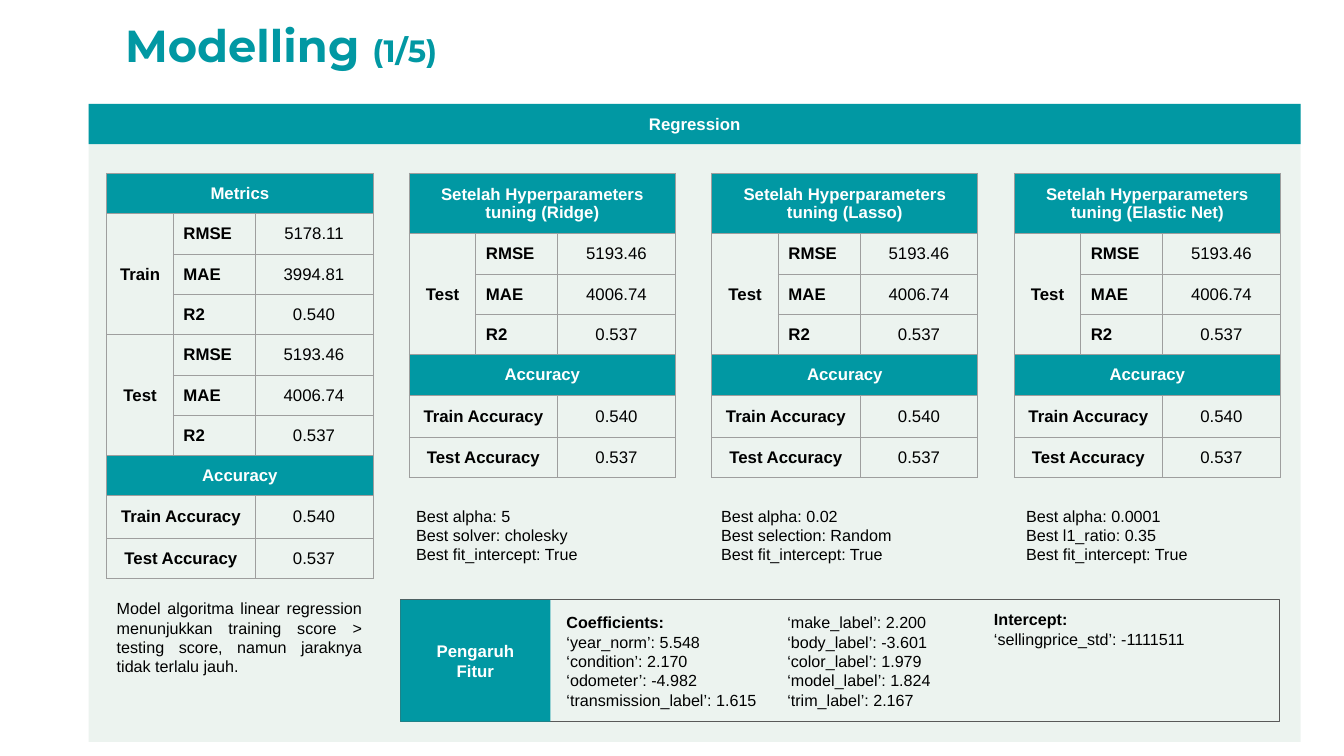
import dataclasses
import typing

import lxml.etree
import pptx
import pptx.dml.color
import pptx.enum.shapes
import pptx.enum.text
import pptx.oxml.ns
import pptx.util

Inches = pptx.util.Inches
Pt = pptx.util.Pt
Align = pptx.enum.text.PP_ALIGN
Anchor = pptx.enum.text.MSO_ANCHOR
qn = pptx.oxml.ns.qn

TEAL, WHITE, BLACK, GREY = "0198A3", "FFFFFF", "000000", "9E9E9E"
COLS = (0.66, 0.81, 1.17)
ROW = 0.4
TRAIN = ("5178.11", "3994.81", "0.540")
TEST = ("5193.46", "4006.74", "0.537")
ACCURACY = (("Train Accuracy", "0.540"), ("Test Accuracy", "0.537"))


@dataclasses.dataclass
class Panel:
    title: str
    groups: dict[str, tuple[str, ...]]
    top: float = 0.6


@dataclasses.dataclass
class Note:
    left: float
    top: float
    width: float
    height: float
    lines: list[str]
    head: str = ""
    align: Align = Align.LEFT


PANELS = [Panel("Metrics", {"Train": TRAIN, "Test": TEST}, ROW)] + [
    Panel(f"Setelah Hyperparameters tuning ({name})", {"Test": TEST})
    for name in ("Ridge", "Lasso", "Elastic Net")
]
BEST = (
    ("alpha: 5", "solver: cholesky"),
    ("alpha: 0.02", "selection: Random"),
    ("alpha: 0.0001", "l1_ratio: 0.35"),
)
NOTES = [
    Note(1.06, 5.84, 2.63, 0.98, [
        "Model algoritma linear regression menunjukkan training score > "
        "testing score, namun jaraknya tidak terlalu jauh."], align=Align.JUSTIFY),
    *(Note(4.03 + 3.025 * i, 4.92, 2.63, 0.78,
           [f"Best {item}" for item in (*best, "fit_intercept: True")],
           align=Align.JUSTIFY) for i, best in enumerate(BEST)),
    Note(5.52, 5.98, 3.05, 1.17, [
        "‘year_norm’: 5.548", "‘condition’: 2.170", "‘odometer’: -4.982",
        "‘transmission_label’: 1.615"], "Coefficients:"),
    Note(7.71, 5.98, 3.05, 1.17, [
        "‘make_label’: 2.200", "‘body_label’: -3.601", "‘color_label’: 1.979",
        "‘model_label’: 1.824", "‘trim_label’: 2.167"]),
    Note(9.76, 5.95, 2.11, 0.59, ["‘sellingprice_std’: -1111511"], "Intercept:"),
]


def rgb(code: str) -> pptx.dml.color.RGBColor:
    return pptx.dml.color.RGBColor.from_string(code)


def apply(target: typing.Any, values: dict[str, typing.Any]) -> None:
    for name, value in values.items():
        setattr(target, name, value)


def pad(target: typing.Any, side: float = 0.1, end: float = 0.1) -> None:
    """Set the inner margins of a text frame or a cell."""
    apply(target, {"margin_left": Inches(side), "margin_right": Inches(side),
                   "margin_top": Inches(end), "margin_bottom": Inches(end)})


def add_run(para: typing.Any, text: str, size: float, color: str = BLACK,
            bold: bool = False, face: str = "Arial") -> None:
    run = para.add_run()
    run.text = text
    apply(run.font, {"name": face, "size": Pt(size), "bold": bold})
    run.font.color.rgb = rgb(color)


def add_line(frame: typing.Any, first: bool, align: Align) -> typing.Any:
    """Return the first paragraph of a frame, or a new one."""
    para = frame.paragraphs[0] if first else frame.add_paragraph()
    para.alignment = align
    return para


def add_title(slide: typing.Any) -> None:
    title = slide.shapes.title
    apply(title, {"left": Inches(1.14), "top": Inches(0.11),
                  "width": Inches(8.21), "height": Inches(0.64)})
    frame = title.text_frame
    pad(frame, end=0.05)
    apply(frame, {"vertical_anchor": Anchor.TOP, "word_wrap": True,
                  "auto_size": pptx.enum.text.MSO_AUTO_SIZE.NONE})
    para = add_line(frame, True, Align.LEFT)
    para.line_spacing = 1.03
    for text, size in (("Modelling ", 32), ("(1/5)", 22)):
        add_run(para, text, size, TEAL, True, "Montserrat")


def add_box(slide: typing.Any, left: float, top: float, width: float, height: float,
            fill: str = "", line: str = "", lines: tuple[str, ...] = ()) -> typing.Any:
    box = slide.shapes.add_shape(pptx.enum.shapes.MSO_SHAPE.RECTANGLE, Inches(left),
                                 Inches(top), Inches(width), Inches(height))
    box.shadow.inherit = False
    if fill:
        box.fill.solid()
        box.fill.fore_color.rgb = rgb(fill)
    else:
        box.fill.background()
    if line:
        box.line.color.rgb = rgb(line)
        box.line.width = Pt(0.75)
    else:
        box.line.fill.background()
    pad(box.text_frame)
    box.text_frame.vertical_anchor = Anchor.MIDDLE
    for i, text in enumerate(lines):
        add_run(add_line(box.text_frame, i == 0, Align.CENTER), text, 12, WHITE, True)
    return box


def add_note(slide: typing.Any, note: Note) -> None:
    box = slide.shapes.add_textbox(Inches(note.left), Inches(note.top),
                                   Inches(note.width), Inches(note.height))
    frame = box.text_frame
    frame.word_wrap = True
    pad(frame)
    lines = [note.head, *note.lines] if note.head else note.lines
    for i, text in enumerate(lines):
        add_run(add_line(frame, i == 0, note.align), text, 11.5,
                bold=text == note.head)


def add_edges(cell: typing.Any) -> None:
    props = cell._tc.get_or_add_tcPr()
    for side in "LRTB":
        edge = lxml.etree.SubElement(props, qn(f"a:ln{side}"), w=str(Pt(0.75)))
        fill = lxml.etree.SubElement(edge, qn("a:solidFill"))
        lxml.etree.SubElement(fill, qn("a:srgbClr"), val=GREY)


def put(table: typing.Any, row: int, col: int, text: str, down: int = 1, wide: int = 1,
        band: bool = False, bold: bool = True, align: Align = Align.CENTER) -> None:
    """Write one cell, merged over the given rows and columns."""
    cell = table.cell(row, col)
    if down * wide > 1:
        cell.merge(table.cell(row + down - 1, col + wide - 1))
    if band:
        cell.fill.solid()
        cell.fill.fore_color.rgb = rgb(TEAL)
    para = add_line(cell.text_frame, True, align)
    add_run(para, text, 12, WHITE if band else BLACK, bold)


def add_panel(slide: typing.Any, panel: Panel, left: float) -> None:
    high = [panel.top] + [ROW] * (3 * len(panel.groups) + 1) + [0.42, 0.4]
    table = slide.shapes.add_table(len(high), len(COLS), Inches(left), Inches(1.72),
                                   Inches(sum(COLS)), Inches(sum(high))).table
    apply(table, {"first_row": False, "horz_banding": False})
    for col, width in zip(table.columns, COLS):
        col.width = Inches(width)
    for row, height in zip(table.rows, high):
        row.height = Inches(height)
    for cell in table.iter_cells():
        add_edges(cell)
        cell.fill.background()
        pad(cell)
        cell.vertical_anchor = Anchor.MIDDLE
    put(table, 0, 0, panel.title, wide=3, band=True)
    row = 1
    for name, scores in panel.groups.items():
        put(table, row, 0, name, down=3)
        for label, score in zip(("RMSE", "MAE", "R2"), scores):
            put(table, row, 1, label, align=Align.LEFT)
            put(table, row, 2, score, bold=False)
            row += 1
    put(table, row, 0, "Accuracy", wide=3, band=True)
    for i, (label, score) in enumerate(ACCURACY, row + 1):
        put(table, i, 0, label, wide=2)
        put(table, i, 2, score, bold=False)


def main() -> None:
    deck = pptx.Presentation()
    apply(deck, {"slide_width": Inches(13.33), "slide_height": Inches(7.5)})
    slide = deck.slides.add_slide(deck.slide_layouts[5])
    add_title(slide)
    back = add_box(slide, 0.88, 1.03, 12.02, 6.33, "66A482")
    tint = back._element.spPr.find(qn("a:solidFill"))[0]
    lxml.etree.SubElement(tint, qn("a:alpha"), val="12000")
    add_box(slide, 3.97, 5.95, 8.72, 1.21, line="595959")
    add_box(slide, 0.88, 1.03, 12.02, 0.4, TEAL, lines=("Regression",))
    for i, panel in enumerate(PANELS):
        add_panel(slide, panel, 1.06 + 3 * i)
    for note in NOTES:
        add_note(slide, note)
    add_box(slide, 3.97, 5.95, 1.49, 1.21, TEAL, lines=("Pengaruh", "Fitur"))
    deck.save("out.pptx")


if __name__ == "__main__":
    main()
